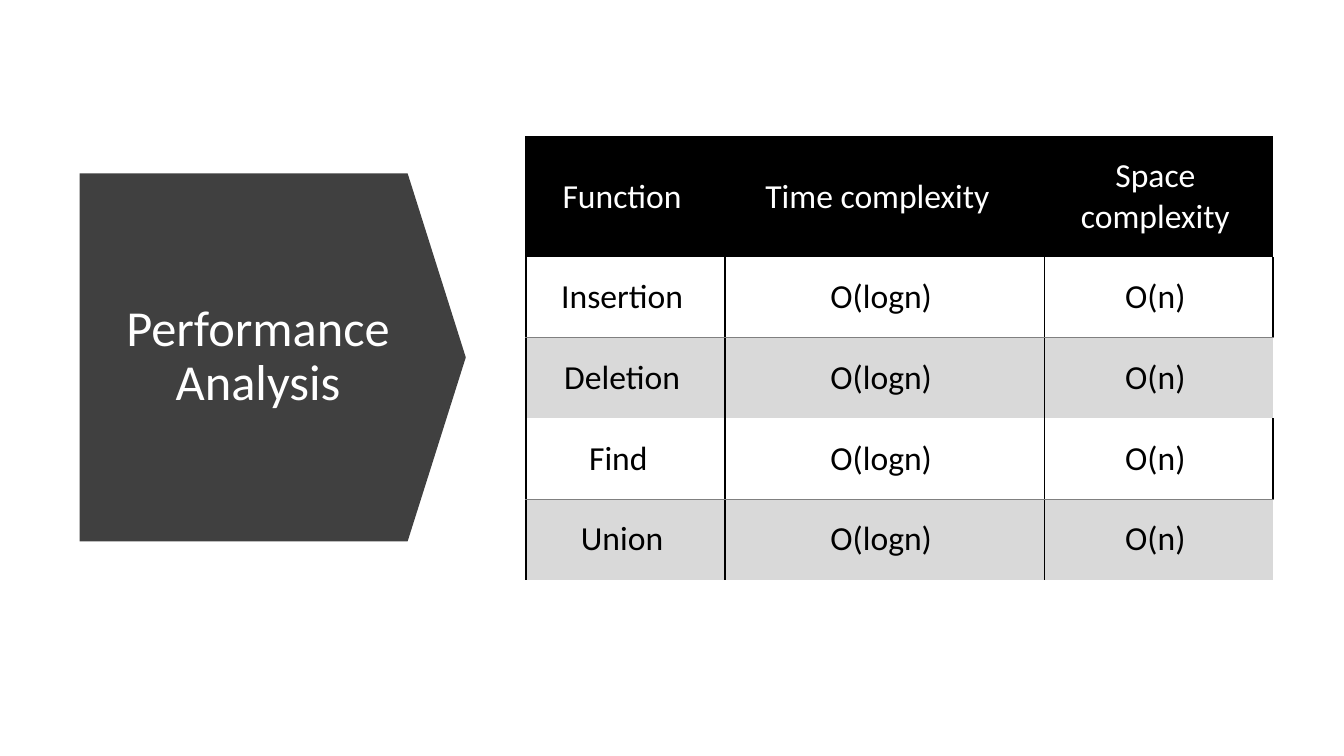
from lxml import etree
from pptx import Presentation
from pptx.dml.color import RGBColor
from pptx.enum.shapes import MSO_SHAPE as Shape
from pptx.enum.text import MSO_ANCHOR as Anchor, MSO_AUTO_SIZE as AutoSize, PP_ALIGN as Align
from pptx.oxml.ns import qn
from pptx.util import Inches, Pt

BLACK, WHITE, CHARCOAL, GREY, SILVER = "000000", "FFFFFF", "404040", "808080", "D9D9D9"
COLUMN_WIDTHS = [1.97, 3.17, 2.27]
ROW_HEIGHTS = [1.19] + [0.8] * 4
MARGINS = {"margin_left": 0.22, "margin_top": 0.17, "margin_right": 0.29, "margin_bottom": 0.17}
SIDE_LINE, ROW_LINE = (BLACK, 1.5), (GREY, 0.5)
ROWS = [
    ["Function", "Time complexity ", "Space complexity"],
    ["Insertion", "O(logn)", "O(n)"],
    ["Deletion", "O(logn)", "O(n)"],
    ["Find ", "O(logn)", "O(n)"],
    ["Union", "O(logn)", "O(n)"],
]


def style_text(text_frame, size, color):
    text_frame.word_wrap = True
    paragraph = text_frame.paragraphs[0]
    paragraph.alignment = Align.CENTER
    font = paragraph.runs[0].font
    font.name, font.size, font.bold = "Calibri", Pt(size), False
    font.color.rgb = RGBColor.from_string(color)


def set_borders(cell, lines):
    """Draw the given sides as (color, points) and clear the other sides."""
    properties = cell._tc.get_or_add_tcPr()
    for side in "LRTB":
        line = etree.SubElement(properties, qn(f"a:ln{side}"))
        if side in lines:
            color, points = lines[side]
            line.set("w", str(Pt(points)))
            fill = etree.SubElement(line, qn("a:solidFill"))
            etree.SubElement(fill, qn("a:srgbClr"), val=color)
        else:
            etree.SubElement(line, qn("a:noFill"))


presentation = Presentation()
presentation.slide_width, presentation.slide_height = Inches(13.33), Inches(7.5)
slide = presentation.slides.add_slide(presentation.slide_layouts[5])

title = slide.shapes.title
title.left, title.top, title.width, title.height = map(Inches, (1.12, 2.15, 2.88, 2.79))
title.text_frame.text = "Performance Analysis"
title.text_frame.vertical_anchor = Anchor.MIDDLE
title.text_frame.auto_size = AutoSize.NONE
title.text_frame.paragraphs[0].line_spacing = 0.9
style_text(title.text_frame, 36, WHITE)

arrow = slide.shapes.add_shape(Shape.DOWN_ARROW, *map(Inches, (0.88, 1.63, 3.65, 3.83)))
arrow.rotation = 270
arrow.adjustments[0], arrow.adjustments[1] = 1, 0.158
arrow.shadow.inherit = False
arrow.fill.solid()
arrow.fill.fore_color.rgb = RGBColor.from_string(CHARCOAL)
arrow.line.fill.background()
title.element.addprevious(arrow.element)  # the title sits in front of the arrow

table = slide.shapes.add_table(
    len(ROWS), len(COLUMN_WIDTHS), Inches(5.22), Inches(1.36),
    Inches(sum(COLUMN_WIDTHS)), Inches(sum(ROW_HEIGHTS))).table
for column, width in zip(table.columns, COLUMN_WIDTHS):
    column.width = Inches(width)
for row, height in zip(table.rows, ROW_HEIGHTS):
    row.height = Inches(height)

last_column = len(COLUMN_WIDTHS) - 1
for row_index, row in enumerate(ROWS):
    for column_index, text in enumerate(row):
        cell = table.cell(row_index, column_index)
        if row_index == 0:
            fill, lines = BLACK, {"T": SIDE_LINE}
            if column_index == 0:
                lines["L"] = SIDE_LINE
        elif row_index % 2:
            fill, lines = WHITE, {"L": SIDE_LINE, "R": SIDE_LINE, "B": ROW_LINE}
        else:
            fill, lines = SILVER, {"L": SIDE_LINE, "T": ROW_LINE}
            if column_index < last_column:
                lines["R"] = SIDE_LINE
        set_borders(cell, lines)
        cell.fill.solid()
        cell.fill.fore_color.rgb = RGBColor.from_string(fill)
        cell.vertical_anchor = Anchor.MIDDLE
        for name, inches in MARGINS.items():
            setattr(cell, name, Inches(inches))
        cell.text = text
        style_text(cell.text_frame, 24, WHITE if row_index == 0 else BLACK)

presentation.save("out.pptx")
